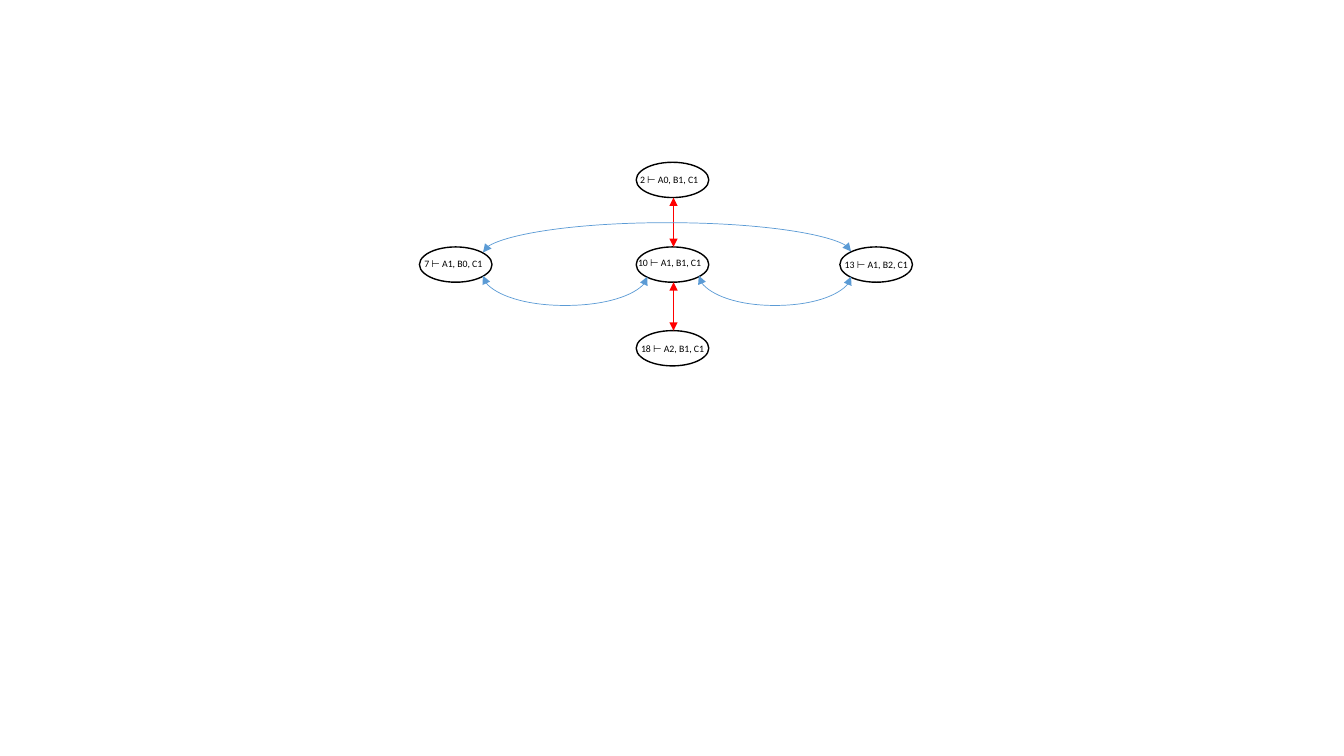
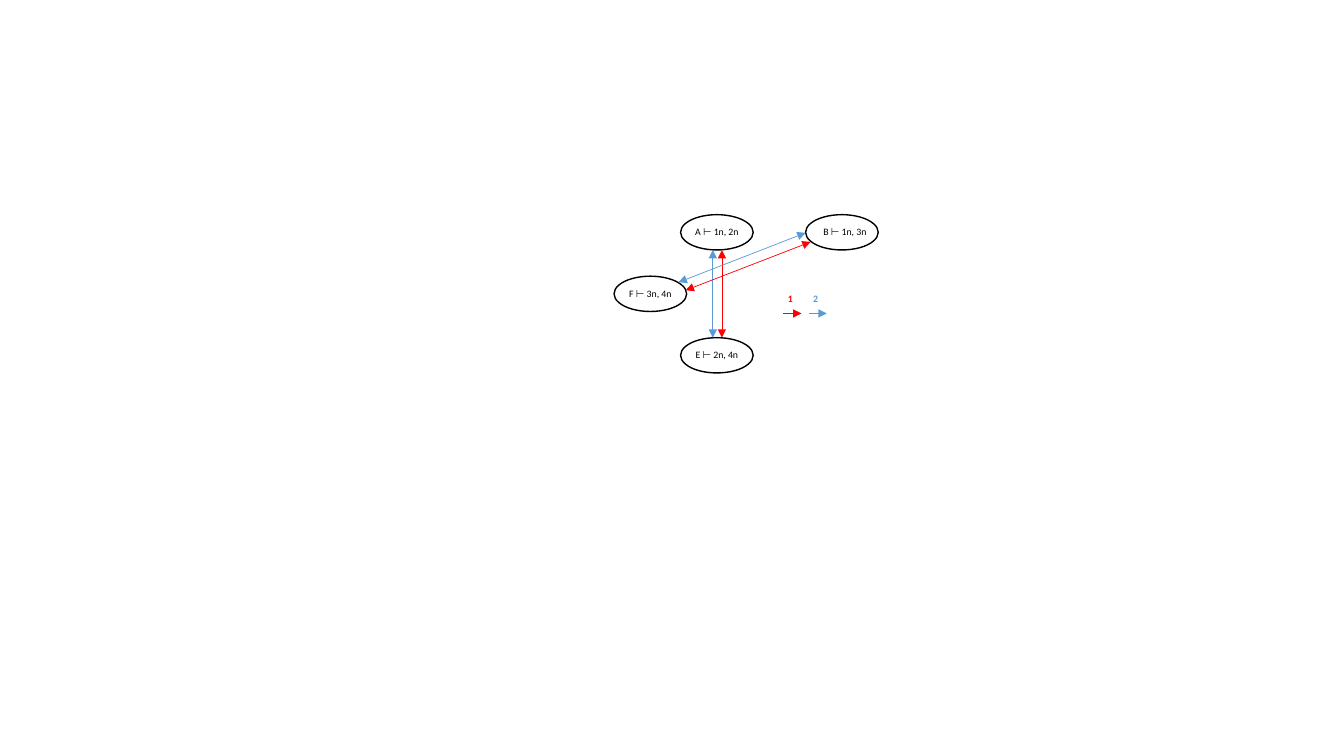
from lxml.etree import SubElement
from pptx import Presentation
from pptx.dml.color import RGBColor
from pptx.enum.shapes import MSO_CONNECTOR, MSO_SHAPE
from pptx.enum.text import PP_ALIGN
from pptx.oxml.ns import qn
from pptx.util import Inches, Pt

BLACK, RED, BLUE = "000000", "FF0000", "5B9BD5"
FONT, SIZE = "Calibri", 7
NODE_W, NODE_H, TEXT_H = 0.72, 0.35, 0.22


def color(code):
    return RGBColor.from_string(code)


# Ellipse outline of one node
def node(slide, x, y):
    oval = slide.shapes.add_shape(
        MSO_SHAPE.OVAL, Inches(x), Inches(y), Inches(NODE_W), Inches(NODE_H))
    oval.shadow.inherit = False
    oval.fill.background()
    oval.line.color.rgb = color(BLACK)
    oval.line.width = Pt(1)


# One line of text, centred labels without side insets
def label(slide, text, x, y, width, ink=BLACK, bold=False, center=False):
    box = slide.shapes.add_textbox(
        Inches(x), Inches(y), Inches(width), Inches(TEXT_H))
    frame = box.text_frame
    frame.word_wrap = True
    frame.margin_left = frame.margin_right = Inches(0 if center else 0.1)
    para = frame.paragraphs[0]
    para.text = text
    para.alignment = PP_ALIGN.CENTER if center else PP_ALIGN.LEFT
    para.font.name = FONT
    para.font.size = Pt(SIZE)
    para.font.bold = bold
    para.font.color.rgb = color(ink)


# Straight or curved line with triangle heads
def arrow(slide, start, end, ink, both=True, kind=MSO_CONNECTOR.STRAIGHT):
    link = slide.shapes.add_connector(
        kind, *(Inches(value) for value in (*start, *end)))
    link.line.color.rgb = color(ink)
    link.line.width = Pt(0.5)
    line = link.line._get_or_add_ln()
    for end_tag in ("a:headEnd", "a:tailEnd") if both else ("a:tailEnd",):
        SubElement(line, qn(end_tag)).set("type", "triangle")
    SubElement(link.element.spPr, qn("a:effectLst"))
    return link


# Arc between two points at one height, bulging down or up
def arc(slide, left, right, y, up=False):
    thick, bulge = 0.01, 0.3
    mid, half = (left + right) / 2, (right - left) / 2
    link = arrow(slide, (mid - thick / 2, y - half),
                 (mid + thick / 2, y + half), BLUE, kind=MSO_CONNECTOR.CURVE)
    link.rotation = 90 if up else 270
    frame = link.element.spPr.find(qn("a:xfrm"))
    frame.set("rot", str((90 if up else 270) * 60000))
    frame.set("flipH", "1")
    if up:
        frame.set("flipV", "1")
    geom = link.element.spPr.find(qn("a:prstGeom"))
    guides = geom.find(qn("a:avLst"))
    if guides is None:
        guides = SubElement(geom, qn("a:avLst"))
    guide = SubElement(guides, qn("a:gd"))
    guide.set("name", "adj1")
    guide.set("fmla", f"val {round(bulge / thick * 100000)}")


# Slide 1: cross of five nodes
def cross(slide):
    nodes = [
        ("2 ⊢ A0, B1, C1", 6.31, 1.61, 6.25, 1.67),
        ("7 ⊢ A1, B0, C1", 4.16, 2.45, 4.11, 2.51),
        ("10 ⊢ A1, B1, C1", 6.31, 2.45, 6.23, 2.5),
        ("13 ⊢ A1, B2, C1", 8.33, 2.45, 8.28, 2.52),
        ("18 ⊢ A2, B1, C1", 6.31, 3.28, 6.26, 3.35),
    ]
    for text, x, y, text_x, text_y in nodes:
        node(slide, x, y)
        label(slide, text, text_x, text_y, 0.93)
    for top, bottom in ((1.96, 2.45), (2.8, 3.28)):
        arrow(slide, (6.68, top), (6.68, bottom), RED)
    arc(slide, 4.79, 6.42, 2.74)
    arc(slide, 6.93, 8.44, 2.74)
    arc(slide, 4.79, 8.44, 2.5, up=True)


# Slide 2: four nodes, paired links and a key
def pairs(slide):
    nodes = [
        ("A ⊢ 1n, 2n", 6.75, 2.13, 0),
        ("B ⊢ 1n, 3n", 7.99, 2.13, 0.03),
        ("E ⊢ 2n, 4n", 6.75, 3.35, 0),
        ("F ⊢ 3n, 4n", 6.09, 2.74, 0),
    ]
    for text, x, y, shift in nodes:
        node(slide, x, y)
        label(slide, text, x + shift, y + 0.06, NODE_W, center=True)
    links = [
        ((7.07, 2.48), (7.07, 3.35), BLUE),
        ((7.16, 2.48), (7.16, 3.35), RED),
        ((6.73, 2.8), (7.99, 2.31), BLUE),
        ((6.8, 2.88), (8.04, 2.4), RED),
    ]
    for start, end, ink in links:
        arrow(slide, start, end, ink)
    for text, x, ink in (("1", 7.77, RED), ("2", 8.02, BLUE)):
        label(slide, text, x, 2.85, 0.14, ink, bold=True, center=True)
        arrow(slide, (x, 3.11), (x + 0.18, 3.11), ink, both=False)


def main():
    deck = Presentation()
    deck.slide_width, deck.slide_height = Inches(13.33), Inches(7.5)
    for draw in (cross, pairs):
        draw(deck.slides.add_slide(deck.slide_layouts[6]))
    deck.save("out.pptx")


if __name__ == "__main__":
    main()
